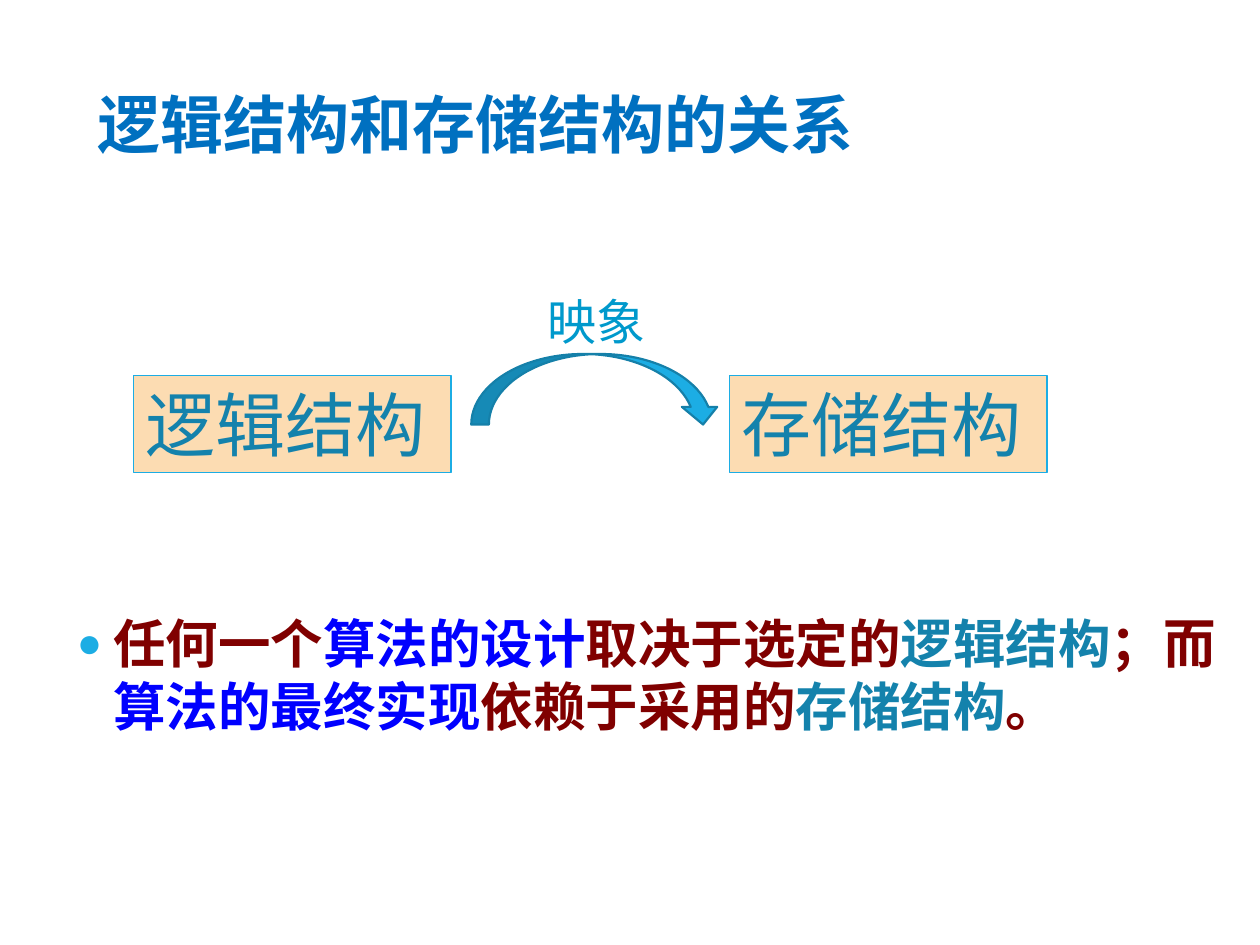
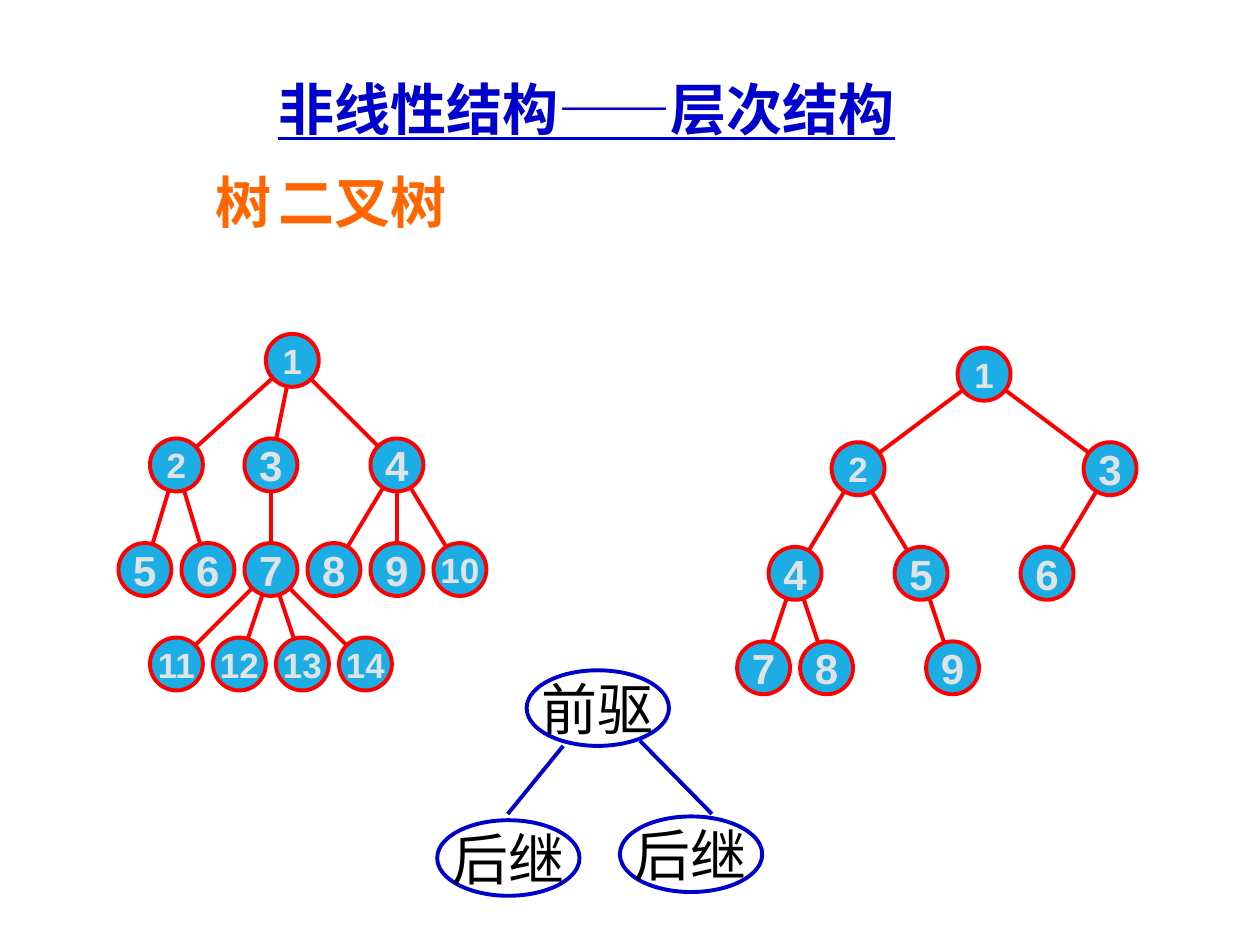
"""Build two slides on logical, stored and tree structures."""
from dataclasses import dataclass
from math import hypot
from typing import NamedTuple

from lxml import etree
from pptx import Presentation
from pptx.dml.color import RGBColor
from pptx.enum import shapes, text
from pptx.oxml.ns import qn
from pptx.util import Emu, Pt

SCALE = 9144


@dataclass(frozen=True)
class Theme:
    """Colours, fonts and type sizes."""
    sky: str = "1CADE4"
    teal: str = "1482AC"
    rim: str = "1580A9"
    cyan: str = "0099CC"
    head: str = "0070C0"
    navy: str = "0000CC"
    blue: str = "0000FF"
    wine: str = "800000"
    sand: str = "FCDCB2"
    red: str = "FF0000"
    gold: str = "FF6600"
    pale: str = "DFE3E5"
    black: str = "000000"
    sans: str = "Arial"
    serif: str = "Times New Roman"
    calm: str = "Calibri"
    han: str = "Noto Sans CJK SC"
    thin: float = 0.75
    mid: float = 1.25
    bold: float = 2.25
    huge: int = 40
    title: int = 36
    sub: int = 32
    body: int = 30
    note: int = 28
    digit: int = 24
    small: int = 20


T = Theme()


class Box(NamedTuple):
    """A place in px."""
    x: int
    y: int
    w: int
    h: int


class Style(NamedTuple):
    """How one paragraph looks."""
    face: str
    size: int
    tint: str
    bold: bool = False
    line: bool = False
    mid: bool = False


class Pad(NamedTuple):
    """Text insets in px."""
    left: int = 10
    top: int = 5
    right: int = 10
    base: int = 5


class Node(NamedTuple):
    """A tree node: the number of its parent and its left edge."""
    up: int
    x: int


class Row(NamedTuple):
    """One level of a tree."""
    y: int
    nodes: tuple[Node, ...]


DISC = 42
WIDE = Pad(12, 6, 12, 6)
TREES = (
    (Row(265, (Node(0, 211),)),
     Row(348, (Node(1, 119), Node(1, 194), Node(1, 294))),
     Row(431, tuple(Node(up, 94 + 50 * i) for i, up in enumerate((2, 2, 3, 4, 4, 4)))),
     Row(506, tuple(Node(7, 119 + 50 * i) for i in range(4)))),
    (Row(276, (Node(0, 760),)),
     Row(351, (Node(1, 660), Node(1, 860))),
     Row(434, (Node(2, 610), Node(2, 710), Node(3, 810))),
     Row(509, (Node(4, 585), Node(4, 635), Node(5, 735)))),
)


def px(num: float) -> Emu:
    """Turn px into EMU."""
    return Emu(round(num * SCALE))


def rgb(tint: str) -> RGBColor:
    """Read a hex colour."""
    return RGBColor.from_string(tint)


def place(shape, box: Box) -> None:
    """Move a shape to its box."""
    shape.left, shape.top, shape.width, shape.height = map(px, box)


def write(shape, parts, style: Style, pad: Pad = Pad(), wrap: bool = True,
          top: bool = False):
    """Write one paragraph of (words, tint) parts and return it."""
    frame = shape.text_frame
    frame.auto_size = text.MSO_AUTO_SIZE.NONE
    frame.word_wrap = wrap
    frame.vertical_anchor = text.MSO_ANCHOR.TOP if top else text.MSO_ANCHOR.MIDDLE
    frame.margin_left, frame.margin_top, frame.margin_right, frame.margin_bottom = map(px, pad)
    para = frame.paragraphs[0]
    para.alignment = text.PP_ALIGN.CENTER if style.mid else text.PP_ALIGN.LEFT
    para.space_before = Pt(0)
    font = para.font
    font.name, font.size, font.bold = style.face, Pt(style.size), style.bold
    font.underline = style.line
    font.color.rgb = rgb(style.tint)
    etree.SubElement(para._p.pPr.find(qn("a:defRPr")), qn("a:ea"), typeface=T.han)
    for words, tint in parts:
        run = para.add_run()
        run.text = words
        if tint != style.tint:
            run.font.color.rgb = rgb(tint)
    return para


def plain(shape, words: str, style: Style, **more):
    """Write words in a single colour."""
    return write(shape, [(words, style.tint)], style, **more)


def mark(para, name: str, **attrs: str):
    """Add a paragraph element just before the default run style."""
    item = etree.Element(qn(name), **attrs)
    para._p.pPr.find(qn("a:defRPr")).addprevious(item)
    return item


def indent(para, left: int) -> None:
    """Set a hanging indent in px."""
    para._p.pPr.set("marL", str(px(left)))
    para._p.pPr.set("indent", str(px(-left)))


def draw(slide, kind, box: Box, fill: str | None, edge: str, width: float):
    """Draw a flat preset shape."""
    shape = slide.shapes.add_shape(kind, *map(px, box))
    shape.shadow.inherit = False
    if fill:
        shape.fill.solid()
        shape.fill.fore_color.rgb = rgb(fill)
    else:
        shape.fill.background()
    shape.line.color.rgb = rgb(edge)
    shape.line.width = Pt(width)
    return shape


def link(slide, start, end, tint: str) -> None:
    """Draw a straight line between two points."""
    line = slide.shapes.add_connector(
        shapes.MSO_CONNECTOR.STRAIGHT, *map(px, (*start, *end)))
    line.line.color.rgb = rgb(tint)
    line.line.width = Pt(T.bold)
    etree.SubElement(line._element.spPr, qn("a:effectLst"))


def grow(slide, tree: tuple[Row, ...]) -> None:
    """Draw a tree numbered level by level, its branches cut at the rims."""
    flat = [(node, row.y) for row in tree for node in row.nodes]
    half = DISC / 2
    for node, y in flat[1:]:
        over, high = flat[node.up - 1]
        dx, dy = node.x - over.x, y - high
        cut = half / hypot(dx, dy)
        start = over.x + half + dx * cut, high + half + dy * cut
        end = node.x + half - dx * cut, y + half - dy * cut
        link(slide, start, end, T.red)
    for num, (node, y) in enumerate(flat, 1):
        disc = draw(slide, shapes.MSO_SHAPE.OVAL, Box(node.x, y, DISC, DISC),
                    T.sky, T.red, T.bold)
        size = T.small if num < 3 or num > 9 else T.digit
        plain(disc, str(num), Style(T.sans, size, T.pale, True, mid=True),
              pad=Pad(0, 0, 0, 0), wrap=False)


def start(deck, words: str, box: Box, style: Style, pad: Pad = Pad()):
    """Add a slide with its title."""
    slide = deck.slides.add_slide(deck.slide_layouts[1])
    place(slide.shapes.title, box)
    plain(slide.shapes.title, words, style, pad=pad)
    return slide


def relate(deck) -> None:
    """Build the slide that maps logic to storage."""
    slide = start(deck, "逻辑结构和存储结构的关系", Box(67, 64, 692, 67),
                  Style(T.calm, T.title, T.head, True))
    body = slide.placeholders[1]
    place(body, Box(51, 477, 929, 150))
    parts = [("任何一个", T.wine), ("算法的设计", T.blue), ("取决于选定的", T.wine),
             ("逻辑结构", T.teal), ("；而", T.wine), ("算法的最终实现", T.blue),
             ("依赖于采用的", T.wine), ("存储结构", T.teal), ("。", T.wine)]
    para = write(body, parts, Style(T.han, T.body, T.wine, True),
                 pad=Pad(top=8), top=True)
    indent(para, 29)
    tint = mark(para, "a:buClr")
    etree.SubElement(tint, qn("a:srgbClr"), val=T.sky)
    mark(para, "a:buSzPct", val="80000")
    mark(para, "a:buChar", char="●")
    for x, words in ((106, "逻辑结构"), (579, "存储结构")):
        card = draw(slide, shapes.MSO_SHAPE.RECTANGLE, Box(x, 298, 252, 77),
                    T.sand, T.sky, T.thin)
        plain(card, words, Style(T.sans, T.huge, T.teal))
    draw(slide, shapes.MSO_SHAPE.CURVED_DOWN_ARROW, Box(374, 281, 198, 56),
         T.sky, T.rim, T.mid)
    label = slide.shapes.add_textbox(*map(px, Box(425, 226, 157, 57)))
    plain(label, "映象", Style(T.sans, T.note, T.cyan))


def branch(deck) -> None:
    """Build the slide with both trees."""
    slide = start(deck, "非线性结构——层次结构", Box(209, 52, 622, 67),
                  Style(T.serif, T.sub, T.navy, True, True), WIDE)
    body = slide.placeholders[1]
    place(body, Box(127, 127, 846, 66))
    para = plain(body, "树\t二叉树", Style(T.han, T.sub, T.gold, True),
                 pad=WIDE._replace(left=44))
    indent(para, 0)
    mark(para, "a:buNone")
    tabs = mark(para, "a:tabLst")
    etree.SubElement(tabs, qn("a:tab"), pos=str(px(360)), algn="l")
    for tree in TREES:
        grow(slide, tree)
    for x, y, words in ((418, 532, "前驱"), (347, 651, "后继"), (492, 648, "后继")):
        oval = draw(slide, shapes.MSO_SHAPE.OVAL, Box(x, y, 113, 60),
                    None, T.navy, T.bold)
        plain(oval, words, Style(T.serif, T.sub, T.black, mid=True),
              pad=Pad(0, 0, 0, 0), wrap=False)
    link(slide, (447, 592), (403, 646), T.navy)
    link(slide, (508, 588), (565, 646), T.navy)


def main() -> None:
    """Build and save the deck."""
    deck = Presentation()
    deck.slide_width, deck.slide_height = px(1000), px(750)
    relate(deck)
    branch(deck)
    deck.save("out.pptx")


if __name__ == "__main__":
    main()
